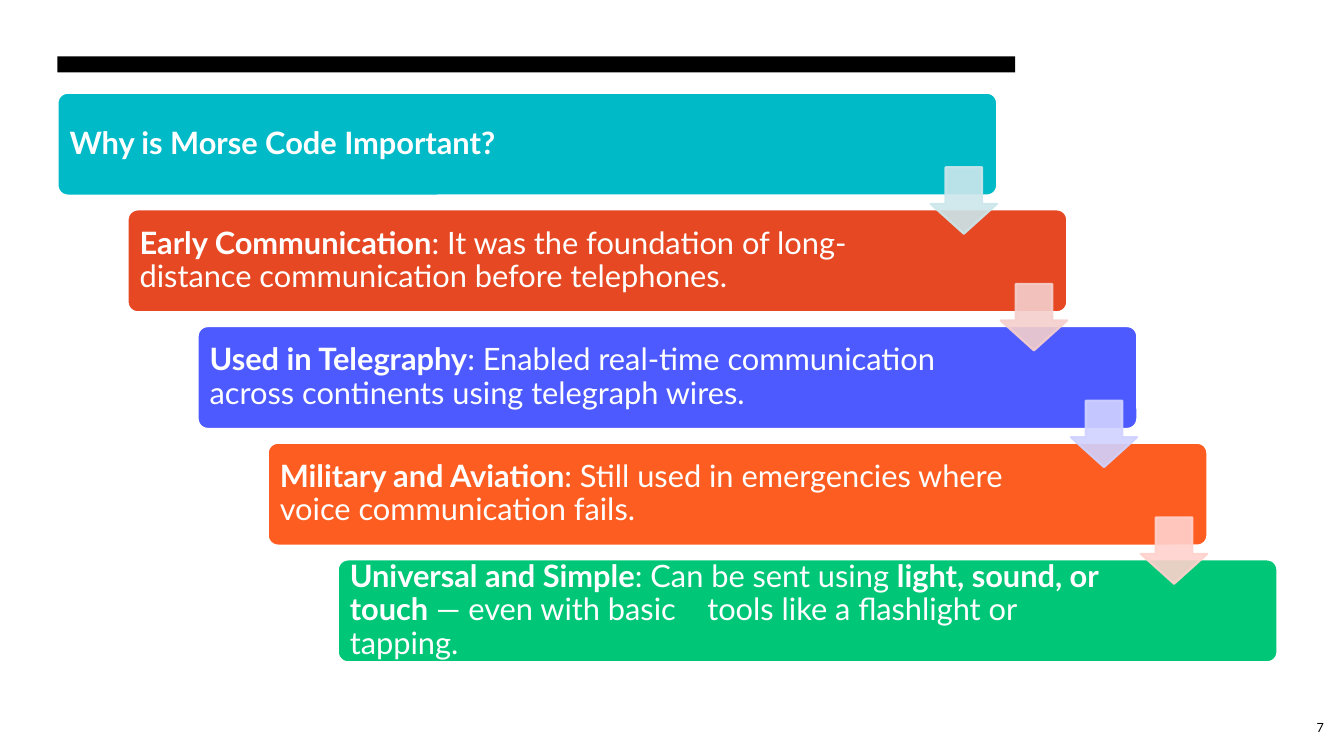
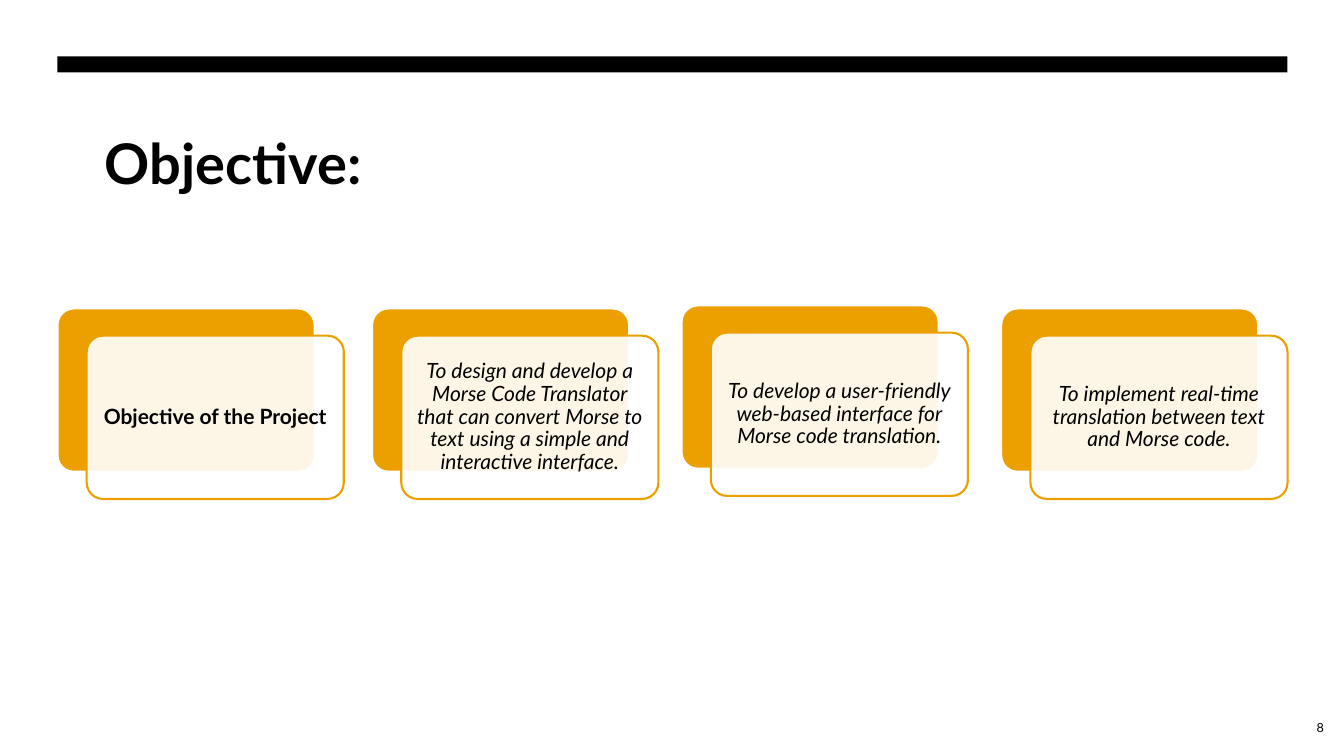
"""Build two slides on Morse code: its importance and the project's objective."""
from dataclasses import dataclass

from lxml import etree
from pptx import Presentation
from pptx.dml.color import RGBColor
from pptx.enum import shapes, text
from pptx.oxml.ns import qn
from pptx.util import Inches, Pt

FONT = "Lato"
BLACK, WHITE, AMBER = "000000", "FFFFFF", "EBA000"
MARGIN = 0.57
ROUNDED = shapes.MSO_SHAPE.ROUNDED_RECTANGLE
LEFT, CENTER, RIGHT = text.PP_ALIGN.LEFT, text.PP_ALIGN.CENTER, text.PP_ALIGN.RIGHT
MIDDLE, TOP = text.MSO_ANCHOR.MIDDLE, text.MSO_ANCHOR.TOP


@dataclass(frozen=True)
class Words:
    """A piece of text in one style."""
    content: str
    bold: bool = False
    italic: bool = False


@dataclass(frozen=True)
class Step:
    """One stair of the cascade, with the tint of the arrow leaving it."""
    fill: str
    words: tuple[Words, ...]
    arrow: str | None = None


@dataclass(frozen=True)
class Card:
    """One objective card, placed by its back panel."""
    left: float
    top: float
    words: Words


STEPS = (
    Step("00BAC8", (Words("Why is Morse Code Important?", bold=True),), "CCE7EB"),
    Step("E64823", (
        Words("Early Communication", bold=True),
        Words(": It was the foundation of long-distance communication before telephones."),
    ), "F5CFCD"),
    Step("4D5AFF", (
        Words("Used in Telegraphy", bold=True),
        Words(": Enabled real-time communication across continents using telegraph wires."),
    ), "D0D2FF"),
    Step("FE5D21", (
        Words("Military and Aviation", bold=True),
        Words(": Still used in emergencies where voice communication fails."),
    ), "FFD2CD"),
    Step("00C777", (
        Words("Universal and Simple", bold=True),
        Words(": Can be sent using "),
        Words("light, sound, or touch", bold=True),
        Words(" — even with basic    tools like a flashlight or tapping."),
    )),
)

CARDS = (
    Card(MARGIN, 3.06, Words("Objective of the Project", bold=True)),
    Card(3.69, 3.06, Words(
        "To design and develop a Morse Code Translator that can convert Morse to text "
        "using a simple and interactive interface.", italic=True)),
    Card(6.76, 3.03, Words(
        "To develop a user-friendly web-based interface for Morse code translation.",
        italic=True)),
    Card(9.93, 3.06, Words(
        "To implement real-time translation between text and Morse code.", italic=True)),
)


def rgb(value: str) -> RGBColor:
    """Turn a hex string into a colour."""
    return RGBColor.from_string(value)


def set_opacity(shape, percent: int, outline: bool = False) -> None:
    """Make the fill, and the outline if asked, partly transparent."""
    fills = [shape._element.spPr.find(qn("a:solidFill"))]
    if outline:
        fills.append(shape.line._ln.find(qn("a:solidFill")))
    for fill in fills:
        etree.SubElement(fill[0], qn("a:alpha"), val=str(percent * 1000))


def add_block(slide, kind, left: float, top: float, width: float, height: float,
              fill: str, line: str | None = None, adjust: tuple[float, ...] = ()):
    """Draw a filled preset shape."""
    block = slide.shapes.add_shape(
        kind, Inches(left), Inches(top), Inches(width), Inches(height))
    block.shadow.inherit = False
    block.fill.solid()
    block.fill.fore_color.rgb = rgb(fill)
    if line:
        block.line.color.rgb = rgb(line)
        block.line.width = Pt(1.5)
    else:
        block.line.fill.background()
    for index, value in enumerate(adjust):
        block.adjustments[index] = value
    return block


def write(shape, words: tuple[Words, ...], size: float, color: str, align=LEFT,
          anchor=MIDDLE, spacing: float = 1.0,
          insets: tuple[float, float] = (0.1, 0.1)) -> None:
    """Write one paragraph, with the given left and right insets."""
    frame = shape.text_frame
    frame.word_wrap = True
    frame.auto_size = text.MSO_AUTO_SIZE.NONE
    frame.vertical_anchor = anchor
    frame.margin_left, frame.margin_right = (Inches(inset) for inset in insets)
    frame.margin_top = frame.margin_bottom = Inches(0.05)
    paragraph = frame.paragraphs[0]
    paragraph.alignment = align
    paragraph.line_spacing = spacing
    for piece in words:
        run = paragraph.add_run()
        run.text = piece.content
        run.font.name = FONT
        run.font.size = Pt(size)
        run.font.bold = piece.bold
        run.font.italic = piece.italic
        run.font.color.rgb = rgb(color)


def add_slide(deck, layout: int, number: int, band_width: float):
    """Add a slide with the shared black band and page number."""
    slide = deck.slides.add_slide(deck.slide_layouts[layout])
    add_block(slide, shapes.MSO_SHAPE.RECTANGLE, MARGIN, 0.56, band_width, 0.16, BLACK)
    page = slide.shapes.add_textbox(Inches(12.53), Inches(7.02), Inches(0.7), Inches(0.4))
    write(page, (Words(str(number)),), 9, BLACK, RIGHT)
    return slide


def add_importance(deck) -> None:
    """Draw the cascade of reasons with arrows between the steps."""
    slide = add_slide(deck, 6, 7, 9.5)
    places = [(MARGIN + 2.78 * i / 4, 0.92 + 4.63 * i / 4) for i in range(len(STEPS))]
    for step, (left, top) in zip(STEPS, places):
        stair = add_block(slide, ROUNDED, left, top, 9.32, 1.02, step.fill, WHITE, (0.1,))
        write(stair, step.words, 22, WHITE, spacing=0.9, insets=(0.09, 1.44))
    for step, (left, top) in zip(STEPS, places):
        if step.arrow:
            arrow = add_block(slide, shapes.MSO_SHAPE.DOWN_ARROW, left + 8.66, top + 0.74,
                              0.66, 0.66, step.arrow, step.arrow, (0.55, 0.45))
            set_opacity(arrow, 90, outline=True)


def add_objective(deck) -> None:
    """Draw the title and the row of layered objective cards."""
    slide = add_slide(deck, 5, 8, 12.2)
    title = slide.shapes.title
    title.left, title.top = Inches(0.94), Inches(1.22)
    title.width, title.height = Inches(5.72), Inches(0.77)
    write(title, (Words("Objective:", bold=True),), 40, BLACK, anchor=TOP)
    for card in CARDS:
        add_block(slide, ROUNDED, card.left, card.top, 2.55, 1.62, AMBER, WHITE, (0.1,))
        front = add_block(slide, ROUNDED, card.left + 0.29, card.top + 0.27, 2.55, 1.62,
                          WHITE, AMBER, (0.1,))
        set_opacity(front, 90)
        write(front, (card.words,), 15, BLACK, CENTER, spacing=0.9, insets=(0.06, 0.06))


def main() -> None:
    """Build and save the deck."""
    deck = Presentation()
    deck.slide_width, deck.slide_height = Inches(13.33), Inches(7.5)
    add_importance(deck)
    add_objective(deck)
    deck.save("out.pptx")


if __name__ == "__main__":
    main()
